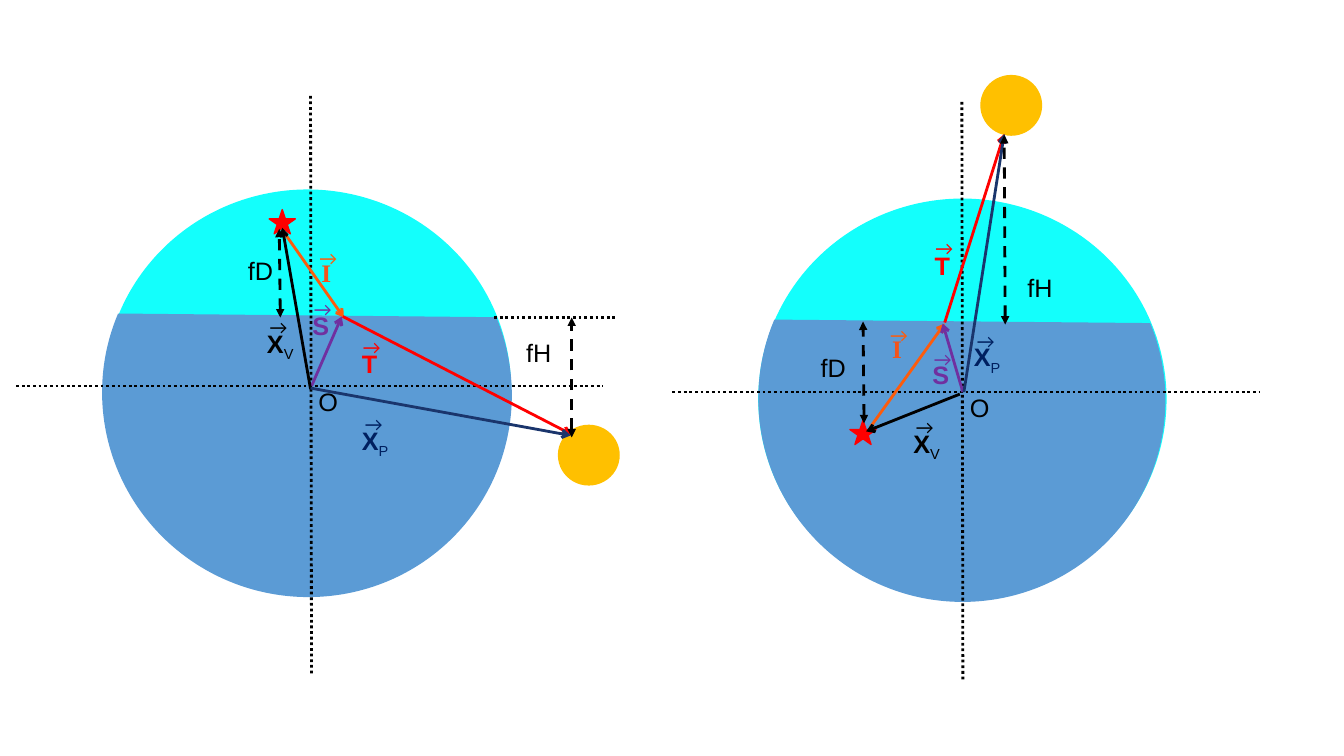
from lxml import etree
from pptx import Presentation
from pptx import util as u
from pptx.dml.color import RGBColor
from pptx.enum import dml, shapes, text
from pptx.oxml.ns import qn

COLOURS = {
    "air": "13FFFC", "water": "5B9BD5", "planet": "FFC000", "red": "FF0000",
    "orange": "FD5C0C", "rust": "F3541A", "purple": "7030A0",
    "navy": "002060", "blue": "1A356C", "black": "000000",
}
COLUMNS, ROWS = 133.3, 75
DOTTED = dml.MSO_LINE.ROUND_DOT
DASHED = dml.MSO_LINE.DASH
VECTORS = {
    "XP": ("Arial", "navy", "navy", 0.3, -1.3),
    "I": ("Times New Roman", "rust", "orange", -0.2, -1.05),
    "XV": ("Arial", "black", "black", 0.25, -1.3),
    "T": ("Arial", "red", "red", 0.1, -1.35),
    "S": ("Arial", "purple", "purple", 0.15, -1.3),
}
PANELS = [
    {
        "air": (75.2, 19.7, 40.5, 39.8), "water": (75.3, 19.4, 40.2, 40.4),
        "planet": (97.3, 7.5), "star": (84.3, 41.7),
        "origin": (95.5, 38.9), "axis_left": 66.7,
        "arrows": [
            ("orange", (86.3, 42.4), (93.7, 32.1)),
            ("red", (93.7, 32), (99.6, 13.3)),
            ("purple", (95.5, 38.9), (93.5, 32.1)),
            ("black", (95.2, 39.1), (85.9, 42.8)),
            ("blue", (95.6, 38.9), (99.6, 13.3)),
        ],
        "vectors": {"XP": (95.6, 33.4), "I": (87.5, 32.6), "XV": (89.6, 42),
                    "T": (91.7, 24.3), "S": (91.5, 35.2)},
        "heights": {"fH": ((100.9, 26.5), (99.7, 32.2), (99.6, 13.4)),
                    "fD": ((80.4, 34.5), (85.7, 42), (85.6, 31.9))},
        "surface": None,
    },
    {
        "air": (10.3, 18.8, 40.4, 39.7), "water": (10.3, 18.7, 40.3, 40.7),
        "planet": (55.4, 42.2), "star": (26.7, 20.8),
        "origin": (30.9, 38.3), "axis_left": 1.6,
        "arrows": [
            ("orange", (28.2, 23.1), (34.1, 31.5)),
            ("red", (34, 31.4), (56.7, 43.1)),
            ("purple", (30.9, 38.3), (33.9, 31.4)),
            ("black", (30.8, 38.6), (28, 22.6)),
            ("blue", (30.8, 38.5), (56.6, 43.2)),
        ],
        "vectors": {"XP": (34.9, 41.7), "I": (30.9, 25), "XV": (25.5, 32.1),
                    "T": (34.9, 34.1), "S": (30, 30.3)},
        "heights": {"fH": ((51.2, 33), (56.7, 43.4), (56.7, 31.5)),
                    "fD": ((23.6, 24.8), (27.8, 31.5), (27.7, 22.7))},
        "surface": ((49, 31.5), (61, 31.5)),
    },
]


def apply(target, **values):
    """Set each format value as an attribute of the target."""
    for name, value in values.items():
        setattr(target, name, value)


class Diagram:
    """Hold the style and current slide, and draw elements on its grid."""

    def __init__(self, presentation):
        """Add a blank slide and measure one grid cell."""
        self.slide = presentation.slides.add_slide(presentation.slide_layouts[6])
        self.column = presentation.slide_width / COLUMNS
        self.row = presentation.slide_height / ROWS
        self.start_group()

    def start_group(self):
        """Send the following elements into a new group."""
        self.shapes = self.slide.shapes.add_group_shape().shapes

    def place(self, *lengths):
        """Turn alternating columns and rows into slide lengths."""
        return [u.Emu(round(length * (self.row if index % 2 else self.column)))
                for index, length in enumerate(lengths)]

    def colour(self, name):
        """Return the named colour."""
        return RGBColor.from_string(COLOURS[name])

    def shape(self, preset, box, fill, outlined=False, rotation=0):
        """Draw a filled preset shape."""
        shape = self.shapes.add_shape(preset, *self.place(*box))
        shape.shadow.inherit = False
        shape.rotation = rotation
        shape.fill.solid()
        shape.fill.fore_color.rgb = self.colour(fill)
        if outlined:
            shape.line.color.rgb = self.colour(fill)
            shape.line.width = u.Pt(1)
        else:
            shape.line.fill.background()

    def line(self, start, end, colour="black", dash=None, head=None, tail=None):
        """Draw a straight line with optional dashes and arrowheads."""
        connector = self.shapes.add_connector(
            shapes.MSO_CONNECTOR.STRAIGHT, *self.place(*start, *end))
        connector.line.color.rgb = self.colour(colour)
        apply(connector.line, width=u.Pt(2), dash_style=dash)
        outline = connector.line._get_or_add_ln()
        for tag, kind in (("a:headEnd", head), ("a:tailEnd", tail)):
            if kind:
                etree.SubElement(outline, qn(tag), type=kind)
        etree.SubElement(connector._element.spPr, qn("a:effectLst"))

    def label(self, words, box, colour="black", font="Arial", size=18,
              bold=False, subscript="", wrap=False):
        """Write a label with an optional subscript."""
        frame = self.shapes.add_textbox(*self.place(*box)).text_frame
        apply(frame, word_wrap=wrap,
              auto_size=text.MSO_AUTO_SIZE.SHAPE_TO_FIT_TEXT)
        paragraph = frame.paragraphs[0]
        for part, heavy in ((words, bold), (subscript, False)):
            if part:
                run = paragraph.add_run()
                run.text = part
                apply(run.font, name=font, size=u.Pt(size), bold=heavy)
                run.font.color.rgb = self.colour(colour)
        if subscript:
            run._r.get_or_add_rPr().set("baseline", "-25000")

    def vector_label(self, name, left, top):
        """Write a vector name below its small arrow."""
        font, colour, arrow_colour, across, down = VECTORS[name]
        width = {"I": 2.9, "T": 3.9, "S": 3.8}.get(name, 5)
        self.label(name[0], (left, top, width, 4), colour, font,
                   bold=True, subscript=name[1:])
        self.label("→", (left + across, top + down, 4.6, 3.3), arrow_colour,
                   "Calibri", 14, wrap=True)

    def axes(self, origin, left):
        """Draw the dotted axes and name their crossing."""
        x, y = origin
        self.line((left, y), (left + 58.2, y), dash=DOTTED)
        self.line((x - 0.1, y - 28.8), (x, y + 28.6), dash=DOTTED)
        self.label("O", (x - 0.3, y - 0.5, 4, 4))

    def panel(self, panel):
        """Draw one viewing case."""
        preset = shapes.MSO_SHAPE
        self.shape(preset.OVAL, panel["air"], "air")
        self.shape(preset.CHORD, panel["water"], "water", rotation=293)
        self.shape(preset.OVAL, (*panel["planet"], 6, 5.9), "planet", True)
        self.shape(preset.STAR_5_POINT, (*panel["star"], 2.6, 2.4), "red", True)
        self.axes(panel["origin"], panel["axis_left"])
        for colour, start, end in panel["arrows"]:
            self.line(start, end, colour, tail="arrow")
        for name, place in panel["vectors"].items():
            self.vector_label(name, *place)
        for name, (place, start, end) in panel["heights"].items():
            self.line(start, end, dash=DASHED, head="triangle", tail="triangle")
            self.label(name, (*place, 4.8, 4))
        if panel["surface"]:
            self.line(*panel["surface"], dash=DOTTED)


presentation = Presentation()
apply(presentation, slide_width=u.Inches(13.33), slide_height=u.Inches(7.5))
diagram = Diagram(presentation)
diagram.panel(PANELS[0])
diagram.start_group()
diagram.panel(PANELS[1])
presentation.save("out.pptx")
